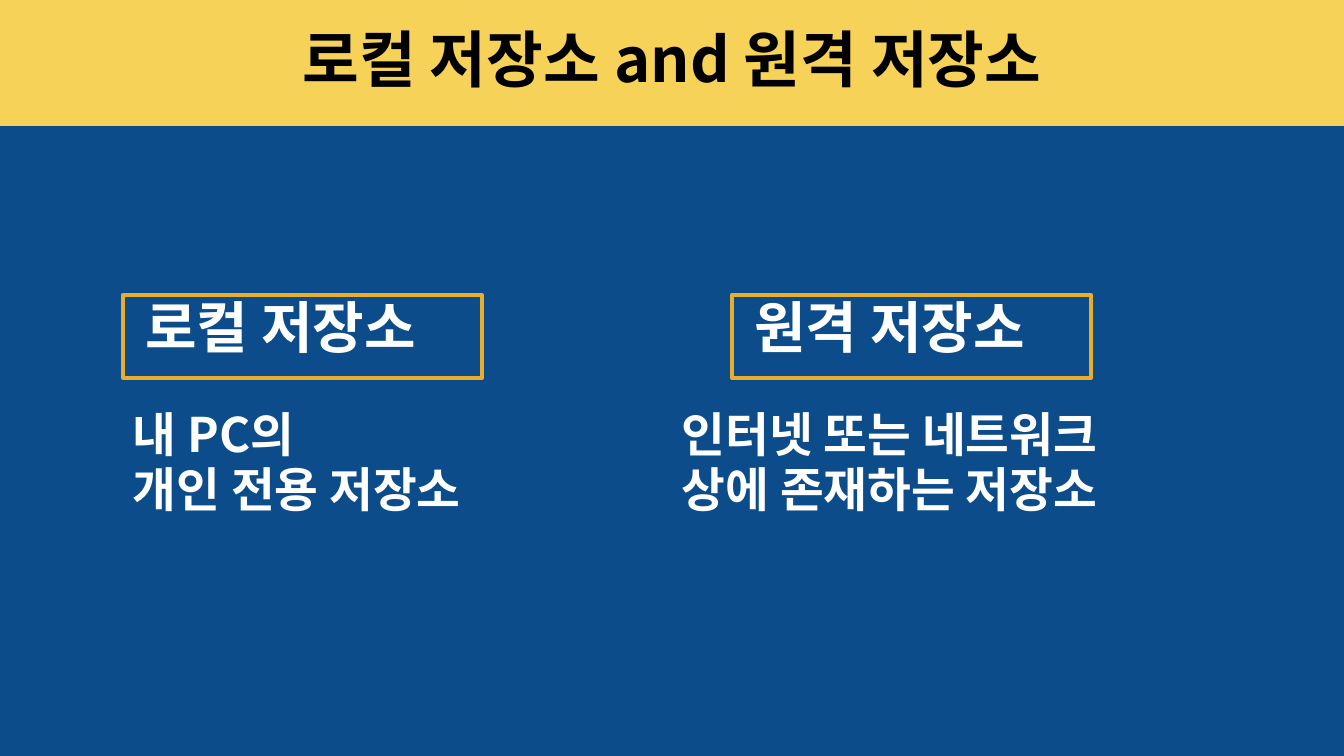
import pptx
import pptx.dml.color
import pptx.enum.shapes
import pptx.enum.text
import pptx.oxml.ns
import pptx.util
from lxml import etree

EMU_PER_PX = 9071.43
FONT = "Noto Sans CJK KR"
BLUE, YELLOW, AMBER = "0C4C8A", "F6D258", "E9AE2B"
BLACK, WHITE = "000000", "FFFFFF"


def px(length):
    """Turn a length in px into EMU."""
    return pptx.util.Emu(round(length * EMU_PER_PX))


def color(hex_string):
    """Turn a hex string into a colour."""
    return pptx.dml.color.RGBColor.from_string(hex_string)


def place(shape, box):
    """Move a shape to a box given in px."""
    shape.left, shape.top, shape.width, shape.height = map(px, box)


def write(shape, lines, size, text_color, alignment, anchor):
    """Fill a shape with bold lines, one paragraph each."""
    frame = shape.text_frame
    frame.word_wrap = True
    frame.auto_size = pptx.enum.text.MSO_AUTO_SIZE.NONE
    frame.vertical_anchor = anchor
    for index, line in enumerate(lines):
        paragraph = frame.add_paragraph() if index else frame.paragraphs[0]
        paragraph.alignment = alignment
        paragraph.line_spacing = 0.9
        paragraph.space_before = pptx.util.Pt(3 if index else 0)
        run = paragraph.add_run()
        run.text = line
        run.font.name = FONT
        run.font.size = pptx.util.Pt(size)
        run.font.bold = True
        run.font.color.rgb = color(text_color)
        east_asian = etree.SubElement(run.font._element, pptx.oxml.ns.qn("a:ea"))
        east_asian.set("typeface", FONT)


def add_title(slide, box, text):
    """Turn the title placeholder into a banner."""
    title = slide.shapes.title
    place(title, box)
    title.fill.solid()
    title.fill.fore_color.rgb = color(YELLOW)
    write(title, [text], 44, BLACK, pptx.enum.text.PP_ALIGN.CENTER,
          pptx.enum.text.MSO_ANCHOR.MIDDLE)


def add_storage(slide, box, label_offset, label, description):
    """Add a framed label with its description below."""
    left, top, width, height = box
    left_aligned = pptx.enum.text.PP_ALIGN.LEFT
    top_anchor = pptx.enum.text.MSO_ANCHOR.TOP

    frame = slide.shapes.add_shape(pptx.enum.shapes.MSO_SHAPE.RECTANGLE, 0, 0, 0, 0)
    place(frame, (left + label_offset, top, 359, 83))
    frame.shadow.inherit = False
    frame.fill.background()
    frame.line.color.rgb = color(AMBER)
    frame.line.width = pptx.util.Pt(3)
    write(frame, [label], 40, WHITE, left_aligned, top_anchor)

    body = slide.shapes.add_textbox(0, 0, 0, 0)
    place(body, (left, top + 111, width, height - 111))
    write(body, description, 34, WHITE, left_aligned, top_anchor)


def main():
    """Build and save the slide."""
    presentation = pptx.Presentation()
    presentation.slide_width, presentation.slide_height = px(1344), px(756)
    slide = presentation.slides.add_slide(presentation.slide_layouts.get_by_name("Title Only"))
    slide.background.fill.solid()
    slide.background.fill.fore_color.rgb = color(BLUE)
    add_title(slide, (0, 0, 1344, 126), "로컬 저장소 and 원격 저장소")
    add_storage(slide, (123, 295, 478, 360), 0, " 로컬 저장소",
                ["내 PC의", "개인 전용 저장소"])
    add_storage(slide, (672, 295, 532, 360), 60, " 원격 저장소",
                ["인터넷 또는 네트워크", "상에 존재하는 저장소"])
    presentation.save("out.pptx")


if __name__ == "__main__":
    main()
